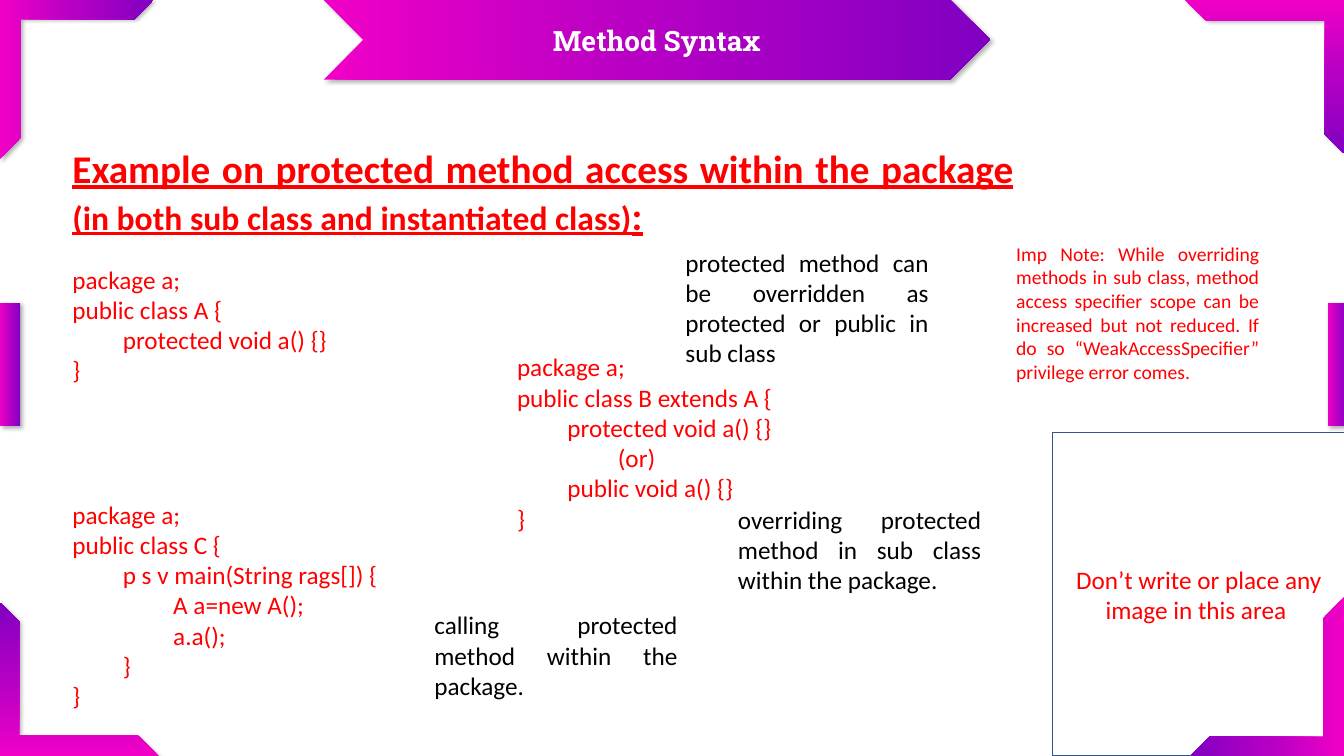
from copy import deepcopy

from lxml import etree
from pptx import Presentation
from pptx.dml.color import RGBColor
from pptx.enum.shapes import MSO_SHAPE
from pptx.enum.text import MSO_ANCHOR, MSO_AUTO_SIZE, PP_ALIGN
from pptx.oxml.ns import qn
from pptx.util import Inches, Pt

RECT, CHEVRON, FRAME = MSO_SHAPE.RECTANGLE, MSO_SHAPE.CHEVRON, MSO_SHAPE.HALF_FRAME
CENTER, JUSTIFY = PP_ALIGN.CENTER, PP_ALIGN.JUSTIFY
MIDDLE, TOP = MSO_ANCHOR.MIDDLE, MSO_ANCHOR.TOP
GROW, FIXED = MSO_AUTO_SIZE.SHAPE_TO_FIT_TEXT, MSO_AUTO_SIZE.NONE

RED, BLACK, WHITE, NAVY = "FF0000", "000000", "FFFFFF", "325491"
BLEND = [(0, "F000C6"), (0.47, "B800C4"), (1, "8000C2")]


def paint(color, value):
    """Set a color object from a hex string."""
    color.rgb = RGBColor.from_string(value)


def write(frame, lines, size=18, color=RED, font="Calibri", align=JUSTIFY,
          anchor=TOP, fit=FIXED, bold=False, line=False):
    """Fill a text frame; each line is a string or a list of (text, size)."""
    frame.word_wrap = True
    frame.auto_size = fit
    frame.vertical_anchor = anchor
    for i, item in enumerate(lines):
        para = frame.paragraphs[0] if i == 0 else frame.add_paragraph()
        para.alignment = align
        for text, points in [(item, size)] if isinstance(item, str) else item:
            run = para.add_run()
            run.text = text
            run.font.size = Pt(points)
            run.font.name = font
            run.font.bold = bold
            run.font.underline = line
            paint(run.font.color, color)


class Deck:
    """Hold the file, its current slide and the shared style."""

    def __init__(self):
        """Open a wide deck with one title-only slide."""
        self.file = Presentation()
        self.file.slide_width = Inches(13.33)
        self.file.slide_height = Inches(7.5)
        self.slide = self.file.slides.add_slide(self.file.slide_layouts[5])

    def shape(self, kind, box):
        """Add a plain shape with neither shadow nor line."""
        shape = self.slide.shapes.add_shape(kind, *map(Inches, box))
        shape.shadow.inherit = False
        shape.line.fill.background()
        return shape

    def panel(self, box, lines):
        """Add a white outlined panel with centred text."""
        shape = self.shape(RECT, box)
        shape.fill.solid()
        paint(shape.fill.fore_color, WHITE)
        paint(shape.line.color, NAVY)
        shape.line.width = Pt(1)
        write(shape.text_frame, lines, align=CENTER, anchor=MIDDLE)

    def blend(self, kind, box, turn=0):
        """Add a shape with the gradient and the soft shadow."""
        shape = self.shape(kind, box)
        shape.rotation = turn
        shape.fill.gradient()
        shape.fill.gradient_angle = 0
        props = shape._element.spPr
        stops = props.find(".//" + qn("a:gsLst"))
        stops.append(deepcopy(stops[0]))
        for stop, (place, value) in zip(shape.fill.gradient_stops, BLEND):
            stop.position = place
            paint(stop.color, value)
        cast = etree.SubElement(
            props.find(qn("a:effectLst")), qn("a:outerShdw"), blurRad=str(Pt(3)),
            dist=str(Pt(2.1)), dir=str(39 * 60000), algn="tl", rotWithShape="0")
        tint = etree.SubElement(cast, qn("a:srgbClr"), val=BLACK)
        etree.SubElement(tint, qn("a:alpha"), val="29000")
        return shape

    def corner(self, left, top, turn):
        """Add one half frame in a corner of the slide."""
        shape = self.blend(FRAME, (left, top, 1.52, 1.58), turn)
        shape.adjustments[0] = 0.125
        shape.adjustments[1] = 0.135

    def title(self, box, text):
        """Place the title on its gradient chevron."""
        self.blend(CHEVRON, box)
        title = self.slide.shapes.title
        self.slide.shapes._spTree.append(title._element)
        title.left, title.top, title.width, title.height = map(Inches, box)
        frame = title.text_frame
        frame.margin_left = frame.margin_right = Inches(0.05)
        frame.margin_top = frame.margin_bottom = Inches(0.05)
        write(frame, [text], size=20, color=WHITE, font="Roboto Slab",
              align=CENTER, anchor=MIDDLE, bold=True)

    def text(self, box, lines, **style):
        """Add a text box that grows with its text."""
        shape = self.slide.shapes.add_textbox(*map(Inches, box))
        write(shape.text_frame, lines, fit=GROW, **style)


def main():
    """Build the slide and save it."""
    deck = Deck()
    deck.panel((10.44, 4.29, 2.9, 3.21),
               ["Don’t write or place any image in this area "])
    deck.title((3.21, 0, 6.61, 0.79), "Method Syntax")
    for left, top, turn in [(0, 0, 0), (11.78, -0.03, 90),
                            (0.03, 5.95, 270), (11.81, 5.92, 180)]:
        deck.corner(left, top, turn)
    for left in (13.17, 0):
        deck.blend(RECT, (left, 3.01, 0.2, 1.22))

    deck.text((0.62, 1.38, 9.53, 1.04), [[
        ("Example on protected method access within the package ", 28),
        ("(in both sub class and instantiated class)", 24),
        (":", 28)]], bold=True, line=True)

    codes = [
        ((0.62, 2.57, 3.5, 1.31), [
            "package a;",
            "public class A {",
            "\tprotected void a() {}",
            "}"]),
        ((5.03, 3.44, 3.77, 1.92), [
            "package a;",
            "public class B extends A {",
            "\tprotected void a() {}",
            "\t\t(or)",
            "\tpublic void a() {}",
            "}"]),
        ((0.62, 4.9, 4.4, 2.22), [
            "package a;",
            "public class C {",
            "\tp s v main(String rags[]) {",
            "\t\tA a=new A();",
            "\t\ta.a();",
            "\t}",
            "}"]),
    ]
    for box, lines in codes:
        deck.text(box, lines)

    notes = [
        (6.7, 2.4, 1.31, "protected method can be overridden as protected "
                         "or public in sub class"),
        (7.22, 4.95, 1.01, "overriding protected method in sub class "
                           "within the package."),
        (4.21, 6, 1.01, "calling protected method within the package."),
    ]
    for left, top, height, text in notes:
        deck.text((left, top, 2.61, height), [text], color=BLACK)

    deck.text((9.98, 2.35, 2.61, 1.51), [
        "Imp Note: While overriding methods in sub class, method access "
        "specifier scope can be increased but not reduced. If do so "
        "“WeakAccessSpecifier” privilege error comes."], size=14)
    deck.file.save("out.pptx")


if __name__ == "__main__":
    main()
